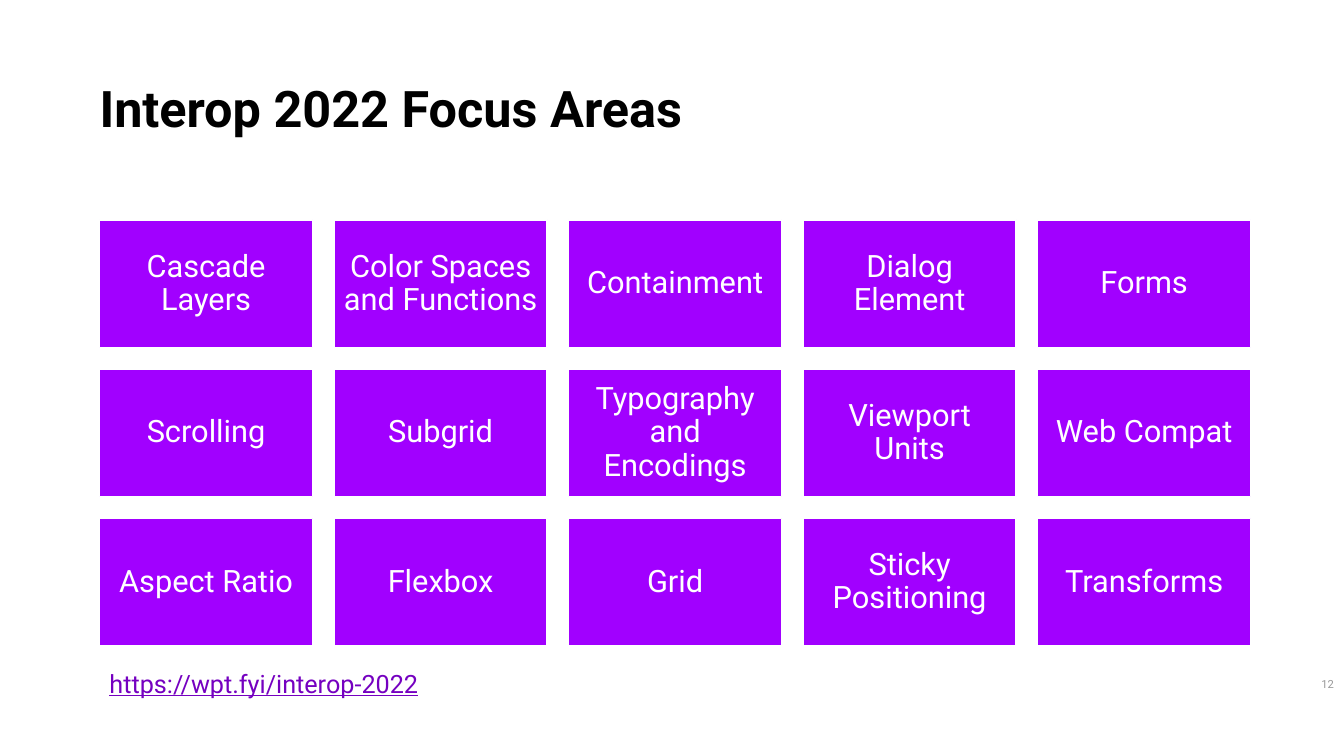
from pptx import Presentation
from pptx.dml.color import RGBColor
from pptx.enum.shapes import MSO_SHAPE
from pptx.enum.text import MSO_ANCHOR, PP_ALIGN
from pptx.util import Cm, Pt

FOCUS_AREAS = [
    ["Cascade Layers", "Color Spaces and Functions", "Containment",
     "Dialog Element", "Forms"],
    ["Scrolling", "Subgrid", "Typography and Encodings",
     "Viewport Units", "Web Compat"],
    ["Aspect Ratio", "Flexbox", "Grid", "Sticky Positioning", "Transforms"],
]
TILE_GAP = 0.54
FONT_NAME = "Roboto"


def color(hex_string):
    return RGBColor.from_string(hex_string)


def write_text(shape, text, frame_format, paragraph_format, font_format, hex_color):
    """Put one formatted paragraph into a shape."""
    frame = shape.text_frame
    frame.text = text
    paragraph = frame.paragraphs[0]
    targets = (
        (frame, {"word_wrap": True, **frame_format}),
        (paragraph, paragraph_format),
        (paragraph.font, {"name": FONT_NAME, **font_format}),
    )
    for target, values in targets:
        for name, value in values.items():
            setattr(target, name, value)
    paragraph.font.color.rgb = color(hex_color)


def margins(left, top, right, bottom):
    return {"margin_left": Cm(left), "margin_top": Cm(top),
            "margin_right": Cm(right), "margin_bottom": Cm(bottom)}


def add_title(slide, left, top, width, height):
    title = slide.shapes.title
    box = {"left": left, "top": top, "width": width, "height": height}
    for name, value in box.items():
        setattr(title, name, Cm(value))
    write_text(title, "Interop 2022 Focus Areas",
               {"vertical_anchor": MSO_ANCHOR.TOP, **margins(0, 0.13, 0, 0)},
               {"alignment": PP_ALIGN.LEFT, "line_spacing": 0.8},
               {"size": Pt(36), "bold": True}, "000000")


def add_focus_grid(slide, left, top, width, height):
    # Tile size follows from the box and the equal gaps
    rows, columns = len(FOCUS_AREAS), len(FOCUS_AREAS[0])
    tile_width = (width - (columns - 1) * TILE_GAP) / columns
    tile_height = (height - (rows - 1) * TILE_GAP) / rows
    group = slide.shapes.add_group_shape()
    for row, areas in enumerate(FOCUS_AREAS):
        for column, area in enumerate(areas):
            tile = group.shapes.add_shape(
                MSO_SHAPE.RECTANGLE,
                Cm(left + column * (tile_width + TILE_GAP)),
                Cm(top + row * (tile_height + TILE_GAP)),
                Cm(tile_width), Cm(tile_height))
            tile.shadow.inherit = False
            tile.fill.solid()
            tile.fill.fore_color.rgb = color("A100FF")
            tile.line.color.rgb = color("FFFFFF")
            tile.line.width = Pt(1)
            write_text(tile, area,
                       {"vertical_anchor": MSO_ANCHOR.MIDDLE,
                        **margins(0.23, 0.23, 0.23, 0.23)},
                       {"alignment": PP_ALIGN.CENTER, "line_spacing": 0.9},
                       {"size": Pt(22)}, "FFFFFF")


def add_caption(slide, text, left, top, width, height, alignment, font_format, hex_color):
    caption = slide.shapes.add_textbox(Cm(left), Cm(top), Cm(width), Cm(height))
    write_text(caption, text, {}, {"alignment": alignment}, font_format, hex_color)


def build_focus_slide(presentation):
    slide = presentation.slides.add_slide(presentation.slide_layouts[5])
    add_title(slide, 2.51, 2.11, 29.01, 2.74)
    add_focus_grid(slide, 2.51, 5.54, 29.01, 10.74)
    # Page number and source address
    add_caption(slide, "12", 32.82, 16.94, 1.05, 0.58, PP_ALIGN.RIGHT,
                {"size": Pt(8)}, "999999")
    add_caption(slide, "https://wpt.fyi/interop-2022", 2.51, 16.71, 29.01, 1.02,
                PP_ALIGN.LEFT, {"size": Pt(18), "underline": True}, "7500C0")


def main():
    presentation = Presentation()
    presentation.slide_width = Cm(33.87)
    presentation.slide_height = Cm(19.05)
    build_focus_slide(presentation)
    presentation.save("out.pptx")


if __name__ == "__main__":
    main()
